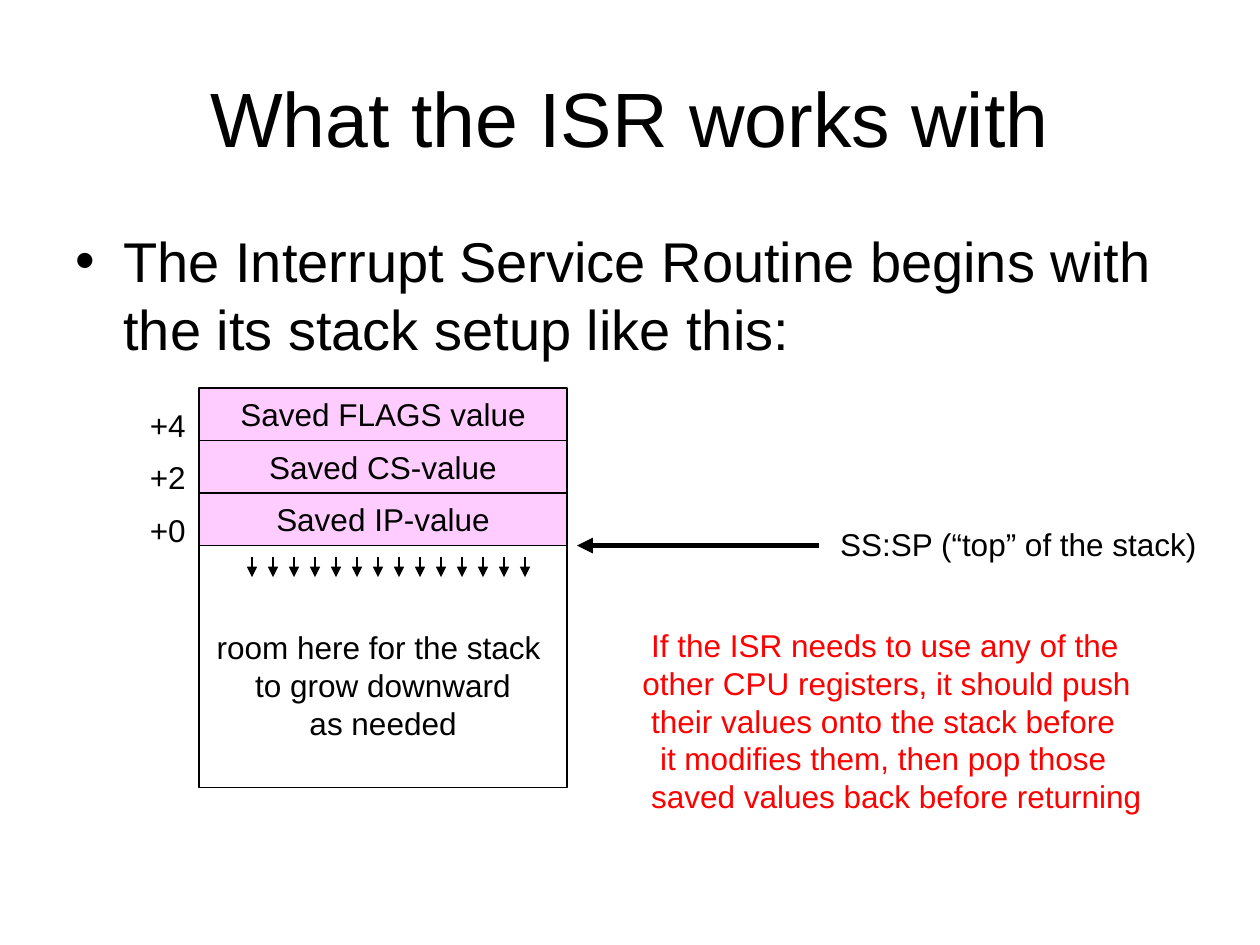
"""Build the slide that shows the stack as an interrupt service routine finds it."""
from lxml.etree import SubElement
from pptx import Presentation
from pptx.dml.color import RGBColor
from pptx.enum.shapes import MSO_CONNECTOR, MSO_SHAPE
from pptx.enum.text import MSO_ANCHOR, MSO_AUTO_SIZE, PP_ALIGN
from pptx.oxml.ns import qn
from pptx.util import Inches, Pt

TITLE = "What the ISR works with"
BODY = "The Interrupt Service Routine begins with the its stack setup like this:"
SAVED = [
    ("+4", "Saved FLAGS value"),
    ("+2", "Saved CS-value"),
    ("+0", "Saved IP-value"),
]
ROOM = ["room here for the stack ", "to grow downward", "as needed"]
POINTER = "SS:SP (“top” of the stack)"
ADVICE = [
    ("If the ISR needs to use any of the", 1),
    ("other CPU registers, it should push", 0),
    ("their values onto the stack before", 1),
    ("it modifies them, then pop those", 2),
    ("saved values back before returning", 1),
]
COLORS = {"ink": "000000", "saved": "FFCCFF", "paper": "FFFFFF", "advice": "FF0000"}

STACK_LEFT, STACK_TOP, STACK_WIDTH = 1.58, 3.08, 2.92
ROW_HEIGHT = 1.25 / 3
STACK_POINTER = STACK_TOP + len(SAVED) * ROW_HEIGHT
ROOM_HEIGHT = 1.92
GROWTH_ARROWS, GROWTH_LEFT, GROWTH_STEP = 14, 2, 1 / 6
INDENT_STEP = 0.07


def color(name):
    return RGBColor.from_string(COLORS[name])


def write(box, lines, size=18, ink="ink", align=PP_ALIGN.LEFT, anchor=MSO_ANCHOR.TOP,
          wrap=False, before=0, inset=0.05, indents=()):
    """Fill a shape with formatted paragraphs."""
    frame = box.text_frame
    frame.word_wrap = wrap
    frame.auto_size = MSO_AUTO_SIZE.NONE
    frame.vertical_anchor = anchor
    frame.margin_left = frame.margin_right = Inches(0.1)
    frame.margin_top, frame.margin_bottom = Inches(inset), Inches(0.05)
    for index, line in enumerate(lines):
        para = frame.add_paragraph() if index else frame.paragraphs[0]
        para.alignment = align
        para.space_before = Pt(before)
        span = para.add_run()
        span.text = line
        span.font.name = "Arial"
        span.font.size = Pt(size)
        span.font.color.rgb = color(ink)
        if indents:
            para._p.get_or_add_pPr().set("marL", str(Inches(indents[index])))
    return frame


def place(box, left, top, width, height):
    box.left, box.top = Inches(left), Inches(top)
    box.width, box.height = Inches(width), Inches(height)


def add_label(lines, left, top, width, height, **style):
    box = page.shapes.add_textbox(Inches(left), Inches(top), Inches(width), Inches(height))
    write(box, lines, **style)


def add_cell(lines, top, height, fill, **style):
    box = page.shapes.add_shape(MSO_SHAPE.RECTANGLE, Inches(STACK_LEFT), Inches(top),
                                Inches(STACK_WIDTH), Inches(height))
    box.shadow.inherit = False
    box.fill.solid()
    box.fill.fore_color.rgb = color(fill)
    box.line.color.rgb = color("ink")
    box.line.width = Pt(0.74)
    write(box, lines, align=PP_ALIGN.CENTER, anchor=MSO_ANCHOR.MIDDLE, **style)


def add_arrow(start, end, weight):
    arrow = page.shapes.add_connector(MSO_CONNECTOR.STRAIGHT, *map(Inches, start + end))
    arrow.line.color.rgb = color("ink")
    arrow.line.width = Pt(weight)
    SubElement(arrow.line._get_or_add_ln(), qn("a:tailEnd"), type="triangle")
    SubElement(arrow._element.spPr, qn("a:effectLst"))


deck = Presentation()
deck.slide_width, deck.slide_height = Inches(10), Inches(7.5)
page = deck.slides.add_slide(deck.slide_layouts[1])

title, body = page.placeholders
place(title, 0.5, 0.3, 9, 1.25)
write(title, [TITLE], size=44, align=PP_ALIGN.CENTER, anchor=MSO_ANCHOR.MIDDLE, wrap=True)
place(body, 0.5, 1.75, 9, 4.95)
bullet = write(body, [BODY], size=32, wrap=True, before=8, indents=[0.38]).paragraphs[0]
bullet._p.get_or_add_pPr().set("indent", str(Inches(-0.38)))

for row, (offset, content) in enumerate(SAVED):
    row_top = STACK_TOP + row * ROW_HEIGHT
    add_cell([content], row_top, ROW_HEIGHT, "saved")
    add_label([offset], 1.09, row_top + 0.09, 0.48, 0.4)
add_cell(ROOM, STACK_POINTER, ROOM_HEIGHT, "paper", inset=0.34)

add_arrow((6.5, STACK_POINTER), (4.58, STACK_POINTER), 3)
add_label([POINTER], 6.57, 4.12, 3.03, 0.4)
for index in range(GROWTH_ARROWS):
    across = GROWTH_LEFT + index * GROWTH_STEP
    add_arrow((across, 4.42), (across, 4.58), 0.74)

add_label([line for line, _ in ADVICE], 5, 4.92, 4.16, 1.6, ink="advice",
          indents=[steps * INDENT_STEP for _, steps in ADVICE])

deck.save("out.pptx")
